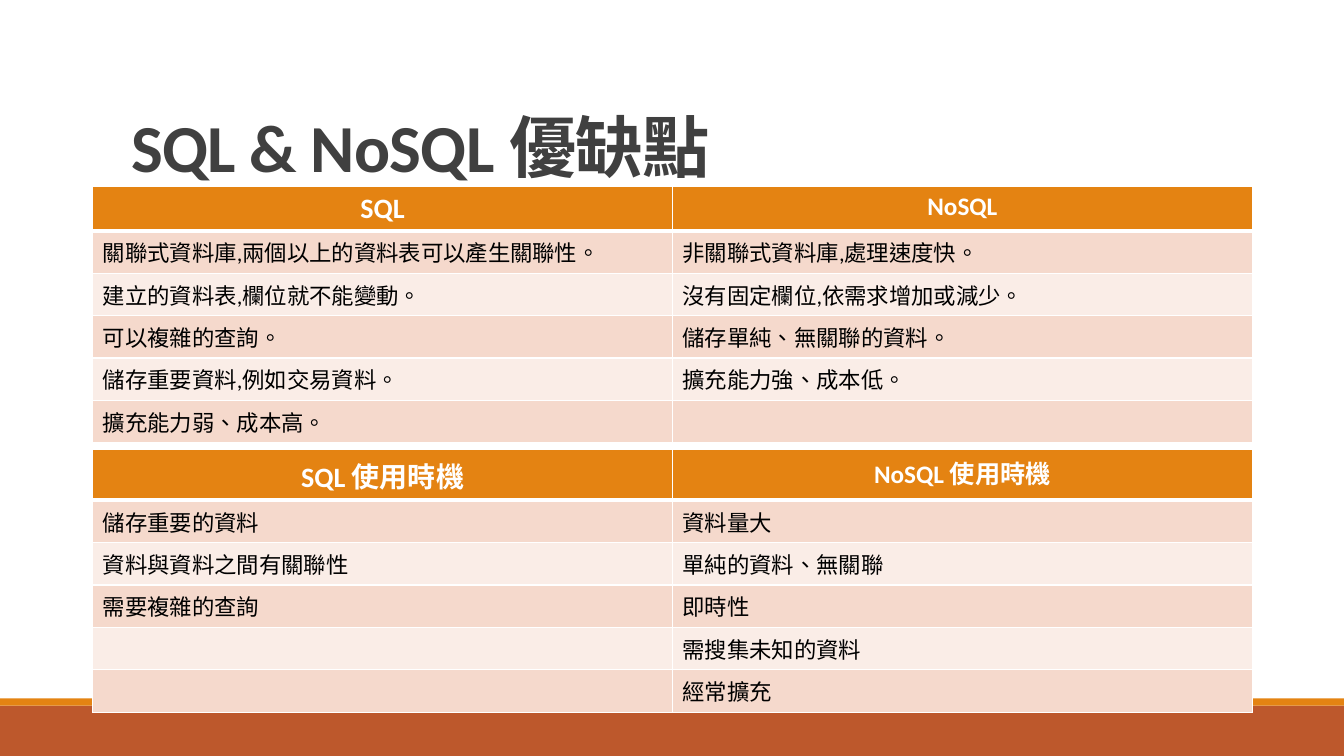
from dataclasses import dataclass

from lxml import etree
from pptx import Presentation
from pptx.dml.color import RGBColor
from pptx.enum.lang import MSO_LANGUAGE_ID
from pptx.enum.shapes import MSO_SHAPE
from pptx.enum.text import MSO_ANCHOR, MSO_AUTO_SIZE, PP_ALIGN
from pptx.oxml.ns import qn
from pptx.util import Inches, Pt

RECT = MSO_SHAPE.RECTANGLE
BOTTOM = MSO_ANCHOR.BOTTOM
NO_FIT = MSO_AUTO_SIZE.NONE
LEFT, CENTER = PP_ALIGN.LEFT, PP_ALIGN.CENTER
ZH_TW = MSO_LANGUAGE_ID.TRADITIONAL_CHINESE

# Content
TITLE = "SQL & NoSQL 優缺點"
FEATURES = [
    ("SQL", "NoSQL"),
    ("關聯式資料庫,兩個以上的資料表可以產生關聯性。".replace(",", ","), "非關聯式資料庫,處理速度快。"),
    ("建立的資料表,欄位就不能變動。", "沒有固定欄位,依需求增加或減少。"),
    ("可以複雜的查詢。", "儲存單純、無關聯的資料。"),
    ("儲存重要資料,例如交易資料。", "擴充能力強、成本低。"),
    ("擴充能力弱、成本高。", ""),
]
USE_CASES = [
    ("SQL 使用時機", "NoSQL 使用時機"),
    ("儲存重要的資料", "資料量大"),
    ("資料與資料之間有關聯性", "單純的資料、無關聯"),
    ("需要複雜的查詢", "即時性"),
    ("", "需搜集未知的資料"),
    ("", "經常擴充"),
]


@dataclass(frozen=True)
class Theme:
    font: str = "Calibri"
    title: str = "404040"
    body: str = "000000"
    white: str = "FFFFFF"
    accent: str = "E48312"
    footer: str = "BD582C"
    bands: tuple = ("F5D9CC", "FAEDE7")
    title_size: int = 48
    header_sizes: tuple = (20, 18)
    body_size: int = 16


T = Theme()

# Layout
SLIDE_W, SLIDE_H = 13.33, 7.5
TABLE_X, COL_W, ROW_H = 0.92, 5.75, 0.41
TABLES = [(1.85, FEATURES), (4.46, USE_CASES)]
FOOTER_BANDS = [(7, 0.5, T.footer), (6.93, 0.07, T.accent)]


def rgb(value):
    return RGBColor.from_string(value)


def write(p, text, size, color, bold):
    r = p.add_run()
    r.text = text
    style = {"name": T.font, "size": Pt(size), "bold": bold, "language_id": ZH_TW}
    for name, value in style.items():
        setattr(r.font, name, value)
    r.font.color.rgb = rgb(color)
    return r


def set_borders(cell, widths):
    tc_pr = cell._tc.get_or_add_tcPr()
    for side, width in widths.items():
        ln = etree.SubElement(tc_pr, qn(f"a:ln{side}"), w=str(Pt(width)))
        fill = etree.SubElement(ln, qn("a:solidFill"))
        etree.SubElement(fill, qn("a:srgbClr"), val=T.white)


def add_comparison(slide, top, rows):
    frame = slide.shapes.add_table(
        len(rows), 2, Inches(TABLE_X), Inches(top),
        Inches(2 * COL_W), Inches(ROW_H * len(rows)))
    table = frame.table
    table.first_row = table.horz_banding = False
    for col in table.columns:
        col.width = Inches(COL_W)
    for i, row in enumerate(rows):
        table.rows[i].height = Inches(ROW_H)
        header = i == 0
        for j, text in enumerate(row):
            cell = table.cell(i, j)
            set_borders(cell, {"L": 1, "R": 1, "T": 3 if i == 1 else 1,
                               "B": 3 if header else 1})
            cell.fill.solid()
            cell.fill.fore_color.rgb = rgb(T.accent if header else T.bands[(i - 1) % 2])
            p = cell.text_frame.paragraphs[0]
            p.alignment = CENTER if header else LEFT
            if text:
                write(p, text, T.header_sizes[j] if header else T.body_size,
                      T.white if header else T.body, header)


prs = Presentation()
prs.slide_width, prs.slide_height = Inches(SLIDE_W), Inches(SLIDE_H)
slide = prs.slides.add_slide(prs.slide_layouts[5])

# Footer bands
for top, height, color in FOOTER_BANDS:
    sp = slide.shapes.add_shape(RECT, 0, Inches(top), Inches(SLIDE_W), Inches(height))
    sp.shadow.inherit = False
    sp.fill.solid()
    sp.fill.fore_color.rgb = rgb(color)
    sp.line.fill.background()

# Title
title = slide.shapes.title
box = {"left": 1.2, "top": 0.31, "width": 11, "height": 1.59}
for name, value in box.items():
    setattr(title, name, Inches(value))
tf = title.text_frame
tf.auto_size, tf.vertical_anchor, tf.word_wrap = NO_FIT, BOTTOM, True
p = tf.paragraphs[0]
p.alignment, p.line_spacing = LEFT, 0.85
r = write(p, TITLE, T.title_size, T.title, True)
r.font._element.set("spc", "-50")

# Comparison tables
for top, rows in TABLES:
    add_comparison(slide, top, rows)

prs.save("out.pptx")
